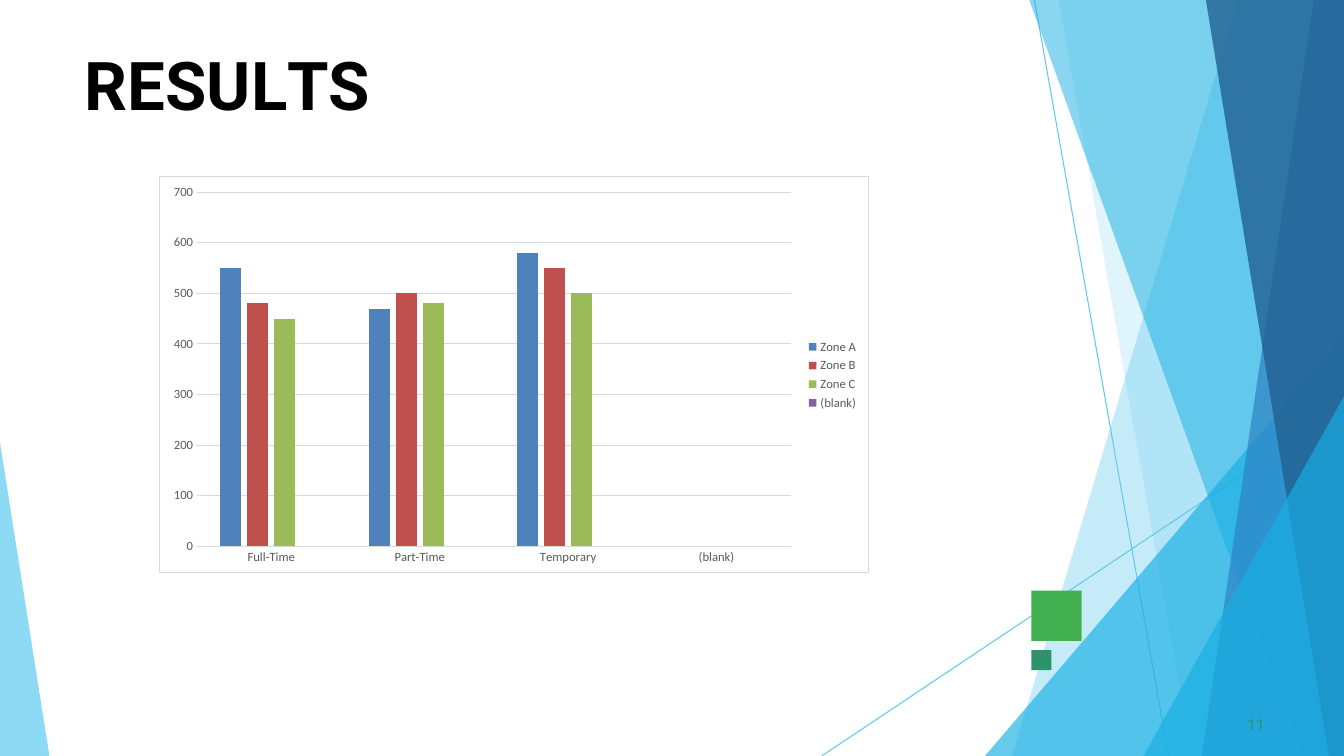
from lxml import etree
from pptx import Presentation, util as u
from pptx.chart.data import CategoryChartData
from pptx.dml.color import RGBColor
from pptx.enum import chart as ch, shapes, text
from pptx.oxml import parse_xml
from pptx.oxml.ns import nsdecls, qn

BLACK = RGBColor(0x00, 0x00, 0x00)
GRAY = RGBColor(0x59, 0x59, 0x59)
RULE = RGBColor(0xD9, 0xD9, 0xD9)
SKY = RGBColor(0x5F, 0xCA, 0xEE)
CYAN = RGBColor(0x17, 0xAF, 0xE3)
BLUE = RGBColor(0x2D, 0x83, 0xC3)
NAVY = RGBColor(0x22, 0x61, 0x92)
GREEN = RGBColor(0x42, 0xAF, 0x51)
TEAL = RGBColor(0x2D, 0x93, 0x6B)
ZONES = [
    ("Zone A", (550, 470, 580, None), RGBColor(0x4F, 0x81, 0xBD)),
    ("Zone B", (480, 500, 550, None), RGBColor(0xC0, 0x50, 0x4D)),
    ("Zone C", (450, 480, 500, None), RGBColor(0x9B, 0xBB, 0x59)),
    ("(blank)", (None,) * 4, RGBColor(0x80, 0x64, 0xA2)),
]

deck = Presentation()
deck.slide_width, deck.slide_height = u.Inches(13.33), u.Inches(7.5)
slide = deck.slides.add_slide(deck.slide_layouts[5])
parts = slide.shapes


def at(x, y):
    return round(deck.slide_width * x / 100), round(deck.slide_height * y / 100)


def write(shape, runs, size, color, bold=False, indent=0, before=0):
    frame = shape.text_frame
    frame.word_wrap = True
    frame.auto_size = text.MSO_AUTO_SIZE.NONE
    frame.vertical_anchor = text.MSO_ANCHOR.TOP
    frame.margin_left = frame.margin_right = frame.margin_bottom = 0
    frame.margin_top = u.Inches(0.01)
    para = frame.paragraphs[0]
    para.alignment = text.PP_ALIGN.LEFT
    para.space_before = u.Pt(before)
    para._p.get_or_add_pPr().set("marL", str(u.Inches(indent)))
    para._p.get_or_add_pPr().set("indent", "0")
    for word, gap in runs:
        run = para.add_run()
        run.text = word
        font = run.font
        font.name, font.size, font.bold = "Roboto", u.Pt(size), bold
        font.color.rgb = color
        run._r.get_or_add_rPr().set("spc", str(round(gap * 100)))


for start, end in [((76.97, 0), (86.95, 100)), ((100, 53.87), (61.14, 100))]:
    line = parts.add_connector(shapes.MSO_CONNECTOR.STRAIGHT, *at(*start), *at(*end))
    line.line.color.rgb = SKY
    line.line.width = u.Pt(0.75)
    etree.SubElement(line._element.spPr, qn("a:effectLst"))

NE, SE = (100, 0), (100, 100)
facets = [
    (SKY, 36, [NE, (92.12, 0), (75.32, 100), SE]),
    (SKY, 20, [NE, (78.77, 0), (88.67, 100), SE]),
    (CYAN, 66, [(100, 44.4), (73.29, 100), SE]),
    (CYAN, 50, [NE, (76.59, 0), (96.85, 100), SE]),
    (BLUE, 70, [NE, (97.75, 0), (89.42, 100), SE]),
    (NAVY, 80, [NE, (89.72, 0), (98.87, 100), SE]),
    (CYAN, 66, [(100, 52.4), (85.07, 100), SE]),
    (SKY, 70, [(0, 58.53), (0, 100), (3.68, 100)]),
]
for color, alpha, points in facets:
    spots = [at(*point) for point in points]
    pen = parts.build_freeform(*spots[0])
    pen.add_line_segments(spots[1:], close=True)
    facet = pen.convert_to_shape()
    facet.shadow.inherit = False
    facet.fill.solid()
    facet.fill.fore_color.rgb = color
    facet.line.fill.background()
    tint = facet._element.spPr.find(".//" + qn("a:srgbClr"))
    etree.SubElement(tint, qn("a:alpha")).set("val", str(alpha * 1000))

for top, side, color in [(78.13, 3.75, GREEN), (86, 1.5, TEAL)]:
    edge = at(side, 0)[0]
    square = parts.add_shape(shapes.MSO_SHAPE.RECTANGLE, *at(76.74, top), edge, edge)
    square.shadow.inherit = False
    square.fill.solid()
    square.fill.fore_color.rgb = color
    square.line.fill.background()

title = parts.title
title.left, title.top = at(6.23, 5.6)
title.width, title.height = at(87.62, 11.07)
letters = [("R", 0), ("E", -0.4), ("S", 0.1), ("U", -0.3), ("L", -4), ("TS", 0)]
write(title, letters, 48, BLACK, bold=True, indent=0.01, before=1.1)
parts._spTree.append(title._element)

page = parts.add_textbox(*at(92.5, 94.4), *at(1.88, 2.8))
write(page, [("11", 0.1)], 11, TEAL, indent=0.04, before=0.6)

data = CategoryChartData()
data.categories = ["Full-Time", "Part-Time", "Temporary", "(blank)"]
for name, values, color in ZONES:
    data.add_series(name, values)
chart = parts.add_chart(
    ch.XL_CHART_TYPE.COLUMN_CLUSTERED, *at(11.85, 23.33), *at(52.81, 52.53), data
).chart
chart.has_title = False
chart.has_legend = True
chart.legend.position = ch.XL_LEGEND_POSITION.RIGHT
chart.legend.include_in_layout = False
chart.font.name, chart.font.size = "Calibri", u.Pt(10)
chart.font.color.rgb = BLACK

plot = chart.plots[0]
plot.vary_by_categories = False
plot.gap_width, plot.overlap = 219, -27
for bars, (name, values, color) in zip(plot.series, ZONES):
    bars.format.fill.solid()
    bars.format.fill.fore_color.rgb = color

base, scale = chart.category_axis, chart.value_axis
for font in [base.tick_labels.font, scale.tick_labels.font, chart.legend.font]:
    font.name, font.size = "Calibri", u.Pt(9)
    font.color.rgb = GRAY
for axis in [base, scale]:
    axis.major_tick_mark = axis.minor_tick_mark = ch.XL_TICK_MARK.NONE
scale.minimum_scale, scale.maximum_scale, scale.major_unit = 0, 700, 100
scale.format.line.fill.background()
scale.has_major_gridlines = True
for rule in [base.format.line, scale.major_gridlines.format.line]:
    rule.color.rgb = RULE
    rule.width = u.Pt(0.75)

frame = parse_xml(
    f'<c:spPr {nsdecls("c", "a")}><a:solidFill><a:srgbClr val="FFFFFF"/></a:solidFill>'
    f'<a:ln w="{u.Pt(0.75)}"><a:solidFill><a:srgbClr val="{RULE}"/></a:solidFill></a:ln></c:spPr>'
)
chart._chartSpace.find(qn("c:chart")).addnext(frame)

deck.save("out.pptx")
